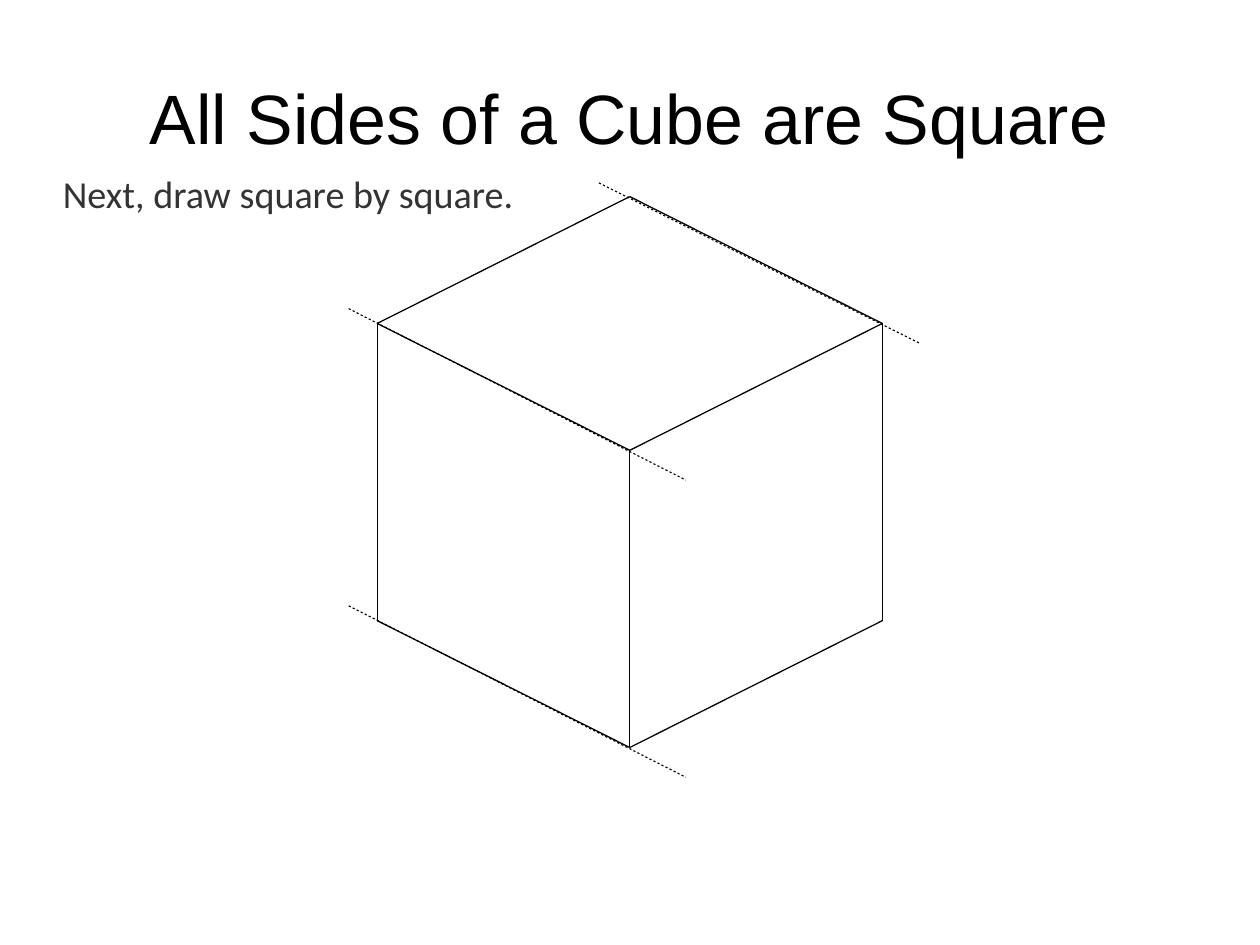
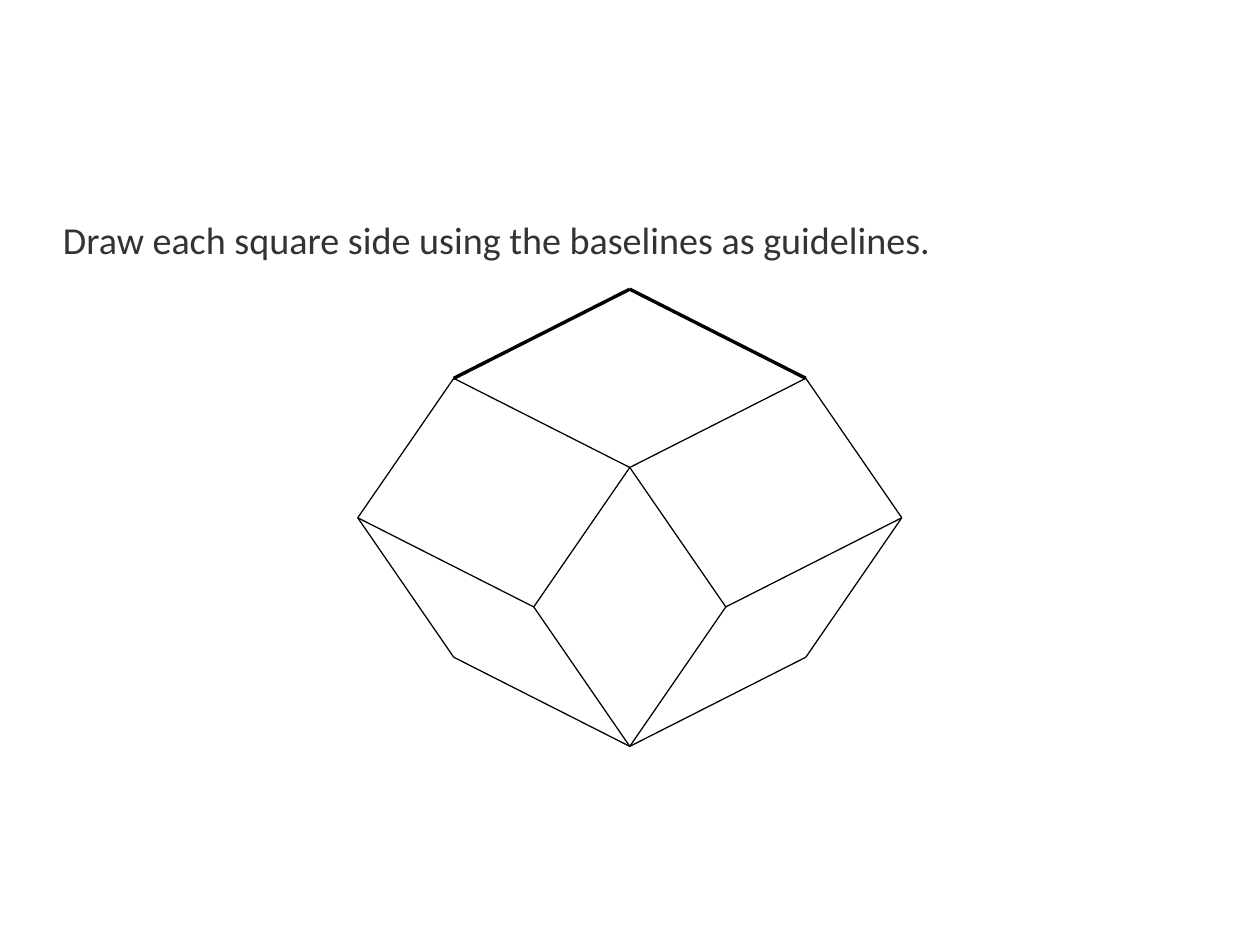
from lxml import etree
from pptx import Presentation
from pptx import util as u
from pptx.dml.color import RGBColor
from pptx.enum import shapes, text
from pptx.oxml import ns

COLORS = {"ink": "000000", "body": "333333"}
THIN, GUIDE, BOLD = 0.79, 0.71, 2.15


class Deck:
    """Holds the shared style and the current slide."""

    left, width = 0.55, 9.92

    def __init__(self):
        self.prs = Presentation()
        # The page is 28 by 21 cm, which has no round size in inches
        self.prs.slide_width = u.Cm(28)
        self.prs.slide_height = u.Cm(21)
        self.slide = None

    def new_slide(self):
        self.slide = self.prs.slides.add_slide(self.prs.slide_layouts[6])

    def words(self, wording, top, height, size, font, color):
        box = self.slide.shapes.add_textbox(
            u.Inches(self.left), u.Inches(top), u.Inches(self.width), u.Inches(height))
        frame = box.text_frame
        frame.word_wrap = True
        frame.margin_left = frame.margin_right = 0
        frame.margin_top = frame.margin_bottom = 0
        frame.text = wording
        run_font = frame.paragraphs[0].runs[0].font
        run_font.size = u.Pt(size)
        run_font.name = font
        run_font.color.rgb = RGBColor.from_string(COLORS[color])
        return frame

    def title(self, wording):
        frame = self.words(wording, 0.33, 1.38, 44, "Arial", "ink")
        frame.vertical_anchor = text.MSO_ANCHOR.MIDDLE
        frame.paragraphs[0].alignment = text.PP_ALIGN.CENTER

    def body(self, wording, top):
        frame = self.words(wording, top, 5.46, 24, "Calibri", "body")
        frame.paragraphs[0].line_spacing = 0.9
        frame.paragraphs[0].space_after = u.Pt(14.1)

    def line(self, start, end, weight=THIN, dotted=False):
        edge = self.slide.shapes.add_connector(
            shapes.MSO_CONNECTOR.STRAIGHT,
            *(u.Inches(value) for value in (*start, *end)))
        edge.line.color.rgb = RGBColor.from_string(COLORS["ink"])
        edge.line.width = u.Pt(weight)
        properties = edge._element.spPr
        if dotted:
            outline = properties.find(ns.qn("a:ln"))
            dashes = etree.SubElement(outline, ns.qn("a:custDash"))
            etree.SubElement(dashes, ns.qn("a:ds"), d="200000", sp="200000")
        etree.SubElement(properties, ns.qn("a:effectLst"))

    def edges(self, points, pairs, weight=THIN):
        for pair in pairs.split():
            start, end = pair.split("-")
            self.line(points[start], points[end], weight)


def cube_slide(deck):
    deck.new_slide()

    # Cube: slanted edges step by (dx, dy), upright edges by height
    middle, top, dx, dy, height = 5.51, 1.72, 2.21, 1.11, 2.6
    cube = {
        "back": (middle, top),
        "left": (middle - dx, top + dy),
        "right": (middle + dx, top + dy),
        "front": (middle, top + 2 * dy),
        "lowleft": (middle - dx, top + dy + height),
        "lowright": (middle + dx, top + dy + height),
        "lowfront": (middle, top + 2 * dy + height),
    }
    deck.edges(cube, "back-left back-right left-front right-front left-lowleft "
                     "right-lowright front-lowfront lowleft-lowfront lowright-lowfront")

    # Dotted baselines
    for start, end in (((5.24, 1.6), (8.04, 3)),
                       ((3.05, 2.7), (6, 4.2)),
                       ((3.05, 2.7 + height), (6, 4.2 + height))):
        deck.line(start, end, GUIDE, dotted=True)

    # Wording
    deck.title("All Sides of a Cube are Square")
    deck.body("Next, draw square by square.", 1.54)


def dodecahedron_slide(deck):
    deck.new_slide()

    # Rhombic solid: flat edges step by (dx, dy), steep edges by (sx, sy)
    middle, top, dx, dy, sx, sy = 5.51, 2.53, 1.54, 0.78, 0.84, 1.22
    solid = {
        "top": (middle, top),
        "centre": (middle, top + 2 * dy),
        "bottom": (middle, top + 2 * dy + 2 * sy),
    }
    for side, sign in (("left", -1), ("right", 1)):
        solid["up" + side] = (middle + sign * dx, top + dy)
        solid["far" + side] = (middle + sign * (dx + sx), top + dy + sy)
        solid["in" + side] = (middle + sign * sx, top + 2 * dy + sy)
        solid["low" + side] = (middle + sign * dx, top + dy + 2 * sy)
        deck.edges(solid, f"up{side}-centre up{side}-far{side} far{side}-in{side} "
                          f"centre-in{side} in{side}-bottom far{side}-low{side} "
                          f"low{side}-bottom")
        deck.edges(solid, f"up{side}-top", BOLD)

    # Wording
    deck.body("Draw each square side using the baselines as guidelines.", 1.94)


def main():
    deck = Deck()
    cube_slide(deck)
    dodecahedron_slide(deck)
    deck.prs.save("out.pptx")


if __name__ == "__main__":
    main()
